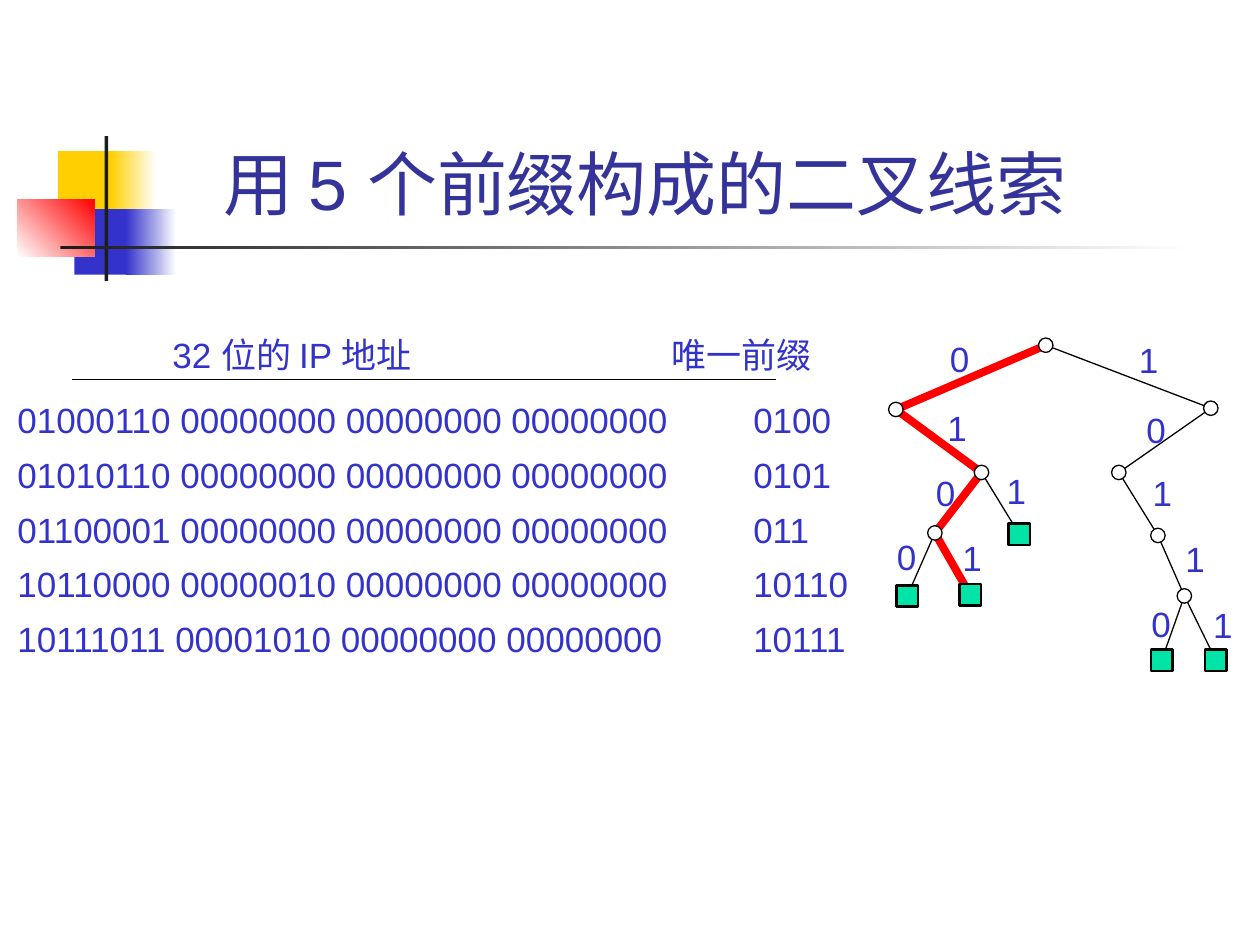
from lxml import etree
from pptx import Presentation
from pptx import util as u
from pptx.dml.color import RGBColor
from pptx.enum import shapes, text
from pptx.oxml import ns

WHITE, BLACK, CHARCOAL = "FFFFFF", "000000", "1C1C1C"
YELLOW, BLUE, RED, NAVY, GREEN = "FFCF01", "3333CC", "FF0000", "333399", "00E4A8"

ADDRESSES = [
    ("01000110 00000000 00000000 00000000", "0100"),
    ("01010110 00000000 00000000 00000000", "0101"),
    ("01100001 00000000 00000000 00000000", "011"),
    ("10110000 00000010 00000000 00000000", "10110"),
    ("10111011 00001010 00000000 00000000", "10111"),
]
NODES = {
    "": (83, 27.4), "0": (71.1, 32.5), "01": (77.9, 37.5), "010": (74.2, 42.3),
    "1": (96.1, 32.4), "10": (88.8, 37.5), "101": (91.9, 42.5), "1011": (94, 47.3),
}
LEAVES = {
    "0100": (72, 47.3), "0101": (77, 47.2), "011": (80.9, 42.4),
    "10110": (92.2, 52.4), "10111": (96.5, 52.4),
}
BIT_LABELS = {
    "0": (74.4, 26.3), "01": (74.2, 31.8), "010": (73.3, 36.9), "011": (78.9, 36.8),
    "0100": (70.2, 42), "0101": (75.4, 42.1), "1": (89.4, 26.4), "10": (90, 31.9),
    "101": (90.5, 36.9), "1011": (93.1, 42.2), "10110": (90.4, 47.3), "10111": (95.3, 47.4),
}


def color(value):
    """Turn a hex string into a colour."""
    return RGBColor.from_string(value)


class Sketch:
    """Draw on one slide with a grid of 100 columns and 75 rows."""

    font_name = "Arial"

    def __init__(self, presentation):
        """Add a blank slide and work out its grid."""
        self.slide = presentation.slides.add_slide(presentation.slide_layouts[6])
        self.column = presentation.slide_width / 100
        self.row = presentation.slide_height / 75

    def grid(self, x, y):
        """Turn columns and rows into lengths."""
        return u.Emu(round(x * self.column)), u.Emu(round(y * self.row))

    def stroke(self, line, value, width):
        """Style a line."""
        line.color.rgb = color(value)
        line.width = u.Pt(width)

    def block(self, x, y, width, height, fill, end=None, angle=0, line=None,
              kind=shapes.MSO_SHAPE.RECTANGLE):
        """Add a preset shape with a plain or gradient fill."""
        shape = self.slide.shapes.add_shape(kind, *self.grid(x, y), *self.grid(width, height))
        shape.shadow.inherit = False
        if end:
            shape.fill.gradient()
            shape.fill.gradient_angle = angle
            for stop, value in zip(shape.fill.gradient_stops, (fill, end)):
                stop.color.rgb = color(value)
        else:
            shape.fill.solid()
            shape.fill.fore_color.rgb = color(fill)
        if line:
            self.stroke(shape.line, BLACK, line)
        else:
            shape.line.fill.background()

    def node(self, center, size, fill, line, kind):
        """Add a tree node around its centre."""
        x, y = center
        self.block(x - size / 2, y - size / 2, size, size, fill, line=line, kind=kind)

    def line(self, start, end):
        """Add a thin straight line."""
        connector = self.slide.shapes.add_connector(
            shapes.MSO_CONNECTOR.STRAIGHT, *self.grid(*start), *self.grid(*end))
        etree.SubElement(connector._element.spPr, ns.qn("a:effectLst"))
        self.stroke(connector.line, BLACK, 0.75)

    def trail(self, points, value, width):
        """Add an open line through several points."""
        start, *rest = [self.grid(*point) for point in points]
        builder = self.slide.shapes.build_freeform(*start)
        builder.add_line_segments(rest, close=False)
        shape = builder.convert_to_shape()
        shape.shadow.inherit = False
        shape.fill.background()
        self.stroke(shape.line, value, width)

    def box(self, x, y, width, height, anchor=text.MSO_ANCHOR.TOP):
        """Add an empty text box and return its frame."""
        frame = self.slide.shapes.add_textbox(
            *self.grid(x, y), *self.grid(width, height)).text_frame
        frame.word_wrap = True
        frame.vertical_anchor = anchor
        return frame

    def fill_paragraph(self, paragraph, words, size=20, value=BLUE, tabs=()):
        """Fill a paragraph, with tab stops given in columns."""
        paragraph.text = words
        if tabs:
            tab_list = etree.SubElement(
                paragraph._p.get_or_add_pPr(), ns.qn("a:tabLst"))
            for tab in tabs:
                etree.SubElement(tab_list, ns.qn("a:tab"),
                                 pos=str(round(tab * self.column)), algn="l")
        paragraph.font.name = self.font_name
        paragraph.font.size = u.Pt(size)
        paragraph.font.color.rgb = color(value)


def draw_title(sketch):
    """Draw the ornament and the title."""
    sketch.block(4.6, 12, 4.8, 5.2, YELLOW)
    sketch.block(8.8, 12, 3.6, 5.2, YELLOW, WHITE)
    sketch.block(5.9, 16.6, 4.6, 5.2, BLUE)
    sketch.block(10, 16.6, 4, 5.2, BLUE, WHITE)
    sketch.block(1.4, 15.8, 6.1, 4.6, WHITE, RED, angle=45)
    sketch.block(8.3, 10.8, 0.3, 11.5, CHARCOAL)
    sketch.block(4.8, 19.5, 90, 0.3, CHARCOAL, WHITE)
    paragraph = sketch.box(12.6, 2.3, 78.4, 16, text.MSO_ANCHOR.BOTTOM).paragraphs[0]
    paragraph.alignment = text.PP_ALIGN.CENTER
    sketch.fill_paragraph(paragraph, "用 5 个前缀构成的二叉线索 ", 40, NAVY)


def draw_addresses(sketch):
    """Draw the list of addresses and their prefixes."""
    frame = sketch.box(0.4, 26, 68.4, 30.4)
    header = frame.paragraphs[0]
    header.space_after = u.Pt(6)
    sketch.fill_paragraph(header, "\t32 位的 IP 地址\t唯一前缀", tabs=(12.3, 51.9))
    for address, prefix in ADDRESSES:
        paragraph = frame.add_paragraph()
        paragraph.line_spacing = 1.3
        sketch.fill_paragraph(paragraph, f"{address}\t{prefix}", tabs=(58.4,))
    sketch.line((5.7, 30.1), (61.6, 30.1))


def draw_tree(sketch):
    """Draw the binary trie of the prefixes."""
    places = {**NODES, **LEAVES}
    for leaf, value, width in (("10111", BLACK, 0.75), ("0101", RED, 4.5)):
        sketch.trail([places[leaf[:end]] for end in range(len(leaf) + 1)], value, width)
    for leaf in ("10110", "0100", "011"):
        sketch.line(places[leaf[:-1]], places[leaf])
    for prefix, (x, y) in BIT_LABELS.items():
        sketch.fill_paragraph(sketch.box(x, y, 3.6, 4.3).paragraphs[0], prefix[-1])
    for center in NODES.values():
        sketch.node(center, 1.15, WHITE, 0.75, shapes.MSO_SHAPE.OVAL)
    for center in LEAVES.values():
        sketch.node(center, 1.7, GREEN, 1.5, shapes.MSO_SHAPE.RECTANGLE)


def main():
    """Build and save the slide."""
    presentation = Presentation()
    presentation.slide_width, presentation.slide_height = u.Inches(10), u.Inches(7.5)
    sketch = Sketch(presentation)
    draw_title(sketch)
    draw_addresses(sketch)
    draw_tree(sketch)
    presentation.save("out.pptx")


if __name__ == "__main__":
    main()
